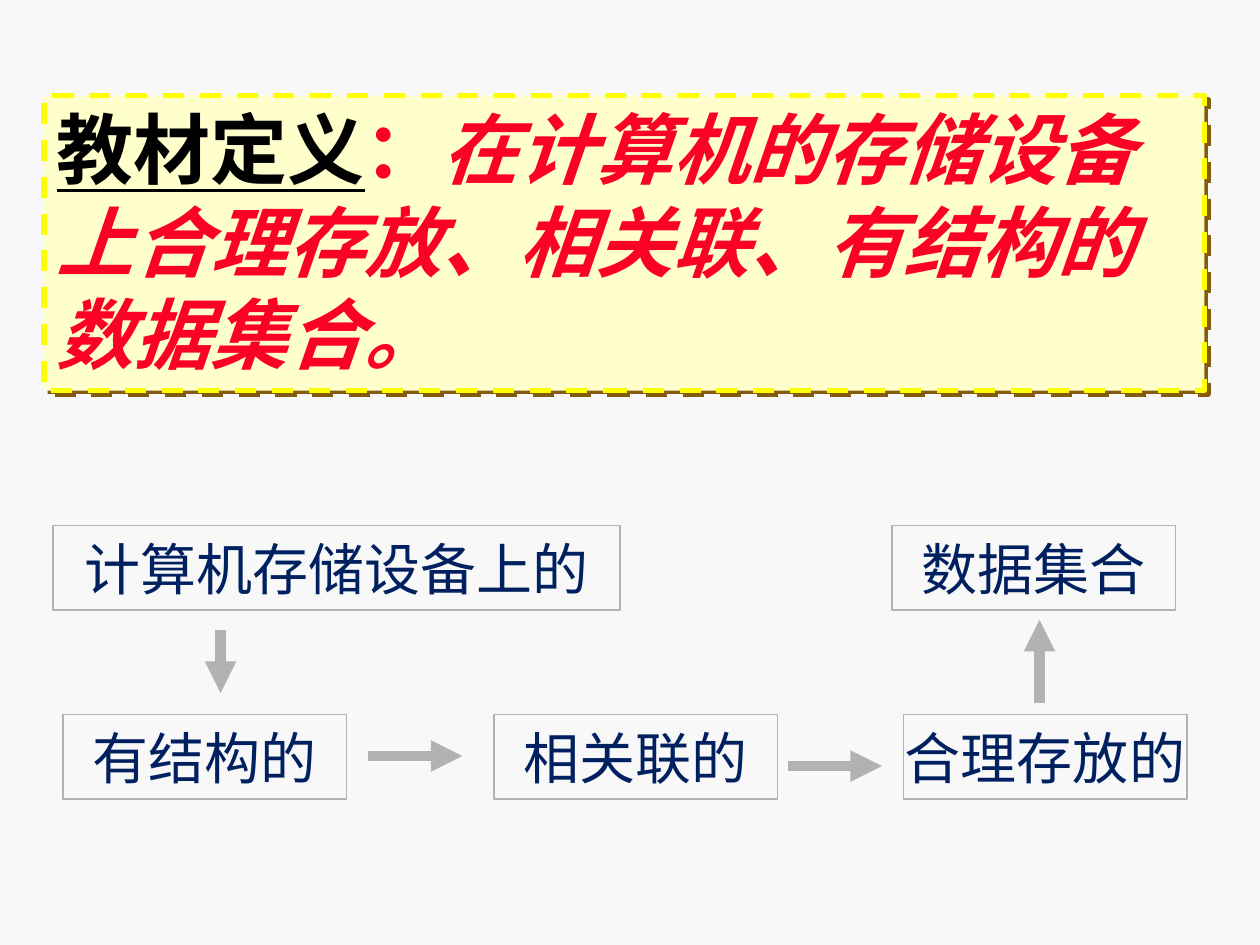
from lxml import etree
from pptx import Presentation
from pptx.dml.color import RGBColor
from pptx.enum.dml import MSO_LINE
from pptx.enum.shapes import MSO_CONNECTOR, MSO_SHAPE
from pptx.enum.text import MSO_ANCHOR, PP_ALIGN
from pptx.oxml.ns import qn
from pptx.util import Inches, Pt

RECTANGLE = MSO_SHAPE.RECTANGLE
STRAIGHT = MSO_CONNECTOR.STRAIGHT
DASH = MSO_LINE.DASH
MIDDLE = MSO_ANCHOR.MIDDLE
LEFT, CENTER = PP_ALIGN.LEFT, PP_ALIGN.CENTER

BACKGROUND = RGBColor(0xF8, 0xF8, 0xF8)
GRAY = RGBColor(0xB2, 0xB2, 0xB2)
NAVY = RGBColor(0x00, 0x20, 0x60)
BLACK = RGBColor(0x00, 0x00, 0x00)
RED = RGBColor(0xFC, 0x01, 0x28)
CREAM = RGBColor(0xFF, 0xFF, 0xCC)
YELLOW = RGBColor(0xFF, 0xFF, 0x00)
BROWN = RGBColor(0x87, 0x5B, 0x0D)

DEFINITION = [
    ("教材定义", dict(color=BLACK, underline=True)),
    ("：", dict(color=RED)),
    ("在计算机的存储设备上合理存放、相关联、有结构的数据集合。", dict(color=RED, italic=True)),
]
TOP_ROW, BOTTOM_ROW, STEP_HEIGHT = 4.17, 5.67, 0.67
STEPS = [
    ("计算机存储设备上的", 0.42, TOP_ROW, 4.5),
    ("有结构的", 0.5, BOTTOM_ROW, 2.25),
    ("相关联的", 3.92, BOTTOM_ROW, 2.25),
    ("合理存放的", 7.17, BOTTOM_ROW, 2.25),
    ("数据集合", 7.08, TOP_ROW, 2.25),
]
ARROWS = [
    (1.75, 5, 1.75, 5.5),
    (2.92, 6, 3.67, 6),
    (6.25, 6.08, 7, 6.08),
    (8.25, 5.58, 8.25, 4.92),
]


def add_text(para, text, size, color, font, bold=False, italic=False, underline=False):
    span = para.add_run()
    span.text = text
    span.font.size = Pt(size)
    span.font.name = font
    span.font.bold = bold
    span.font.italic = italic
    span.font.underline = underline
    span.font.color.rgb = color
    return span


def add_box(page, left, top, width, height, line_color, line_width):
    box = page.shapes.add_shape(
        RECTANGLE, Inches(left), Inches(top), Inches(width), Inches(height))
    box.shadow.inherit = False
    box.fill.background()
    box.line.color.rgb = line_color
    box.line.width = Pt(line_width)
    return box


def add_definition(page):
    box = add_box(page, 0.35, 0.76, 9.21, 2.34, YELLOW, 3)
    box.fill.solid()
    box.fill.fore_color.rgb = CREAM
    box.line.dash_style = DASH
    effects = box._element.spPr.find(qn("a:effectLst"))
    shadow = etree.SubElement(effects, qn("a:outerShdw"), dist=str(Pt(2.8)),
                              dir=str(45 * 60000), algn="ctr", rotWithShape="0")
    etree.SubElement(shadow, qn("a:srgbClr"), val=str(BROWN))
    frame = box.text_frame
    frame.word_wrap = True
    frame.vertical_anchor = MSO_ANCHOR.TOP
    para = frame.paragraphs[0]
    para.alignment = LEFT
    for text, style in DEFINITION:
        span = add_text(para, text, 44, font="Noto Sans CJK JP", bold=True, **style)
        east_asian = etree.Element(qn("a:ea"), typeface="Noto Sans CJK JP")
        span.font._element.find(qn("a:latin")).addnext(east_asian)


def add_step(page, text, left, top, width):
    box = add_box(page, left, top, width, STEP_HEIGHT, GRAY, 1)
    frame = box.text_frame
    frame.word_wrap = False
    frame.vertical_anchor = MIDDLE
    para = frame.paragraphs[0]
    para.alignment = CENTER
    add_text(para, text, 32, NAVY, "Times New Roman")


def add_arrow(page, *ends):
    arrow = page.shapes.add_connector(STRAIGHT, *map(Inches, ends))
    arrow.line.color.rgb = GRAY
    arrow.line.width = Pt(6)
    etree.SubElement(arrow.line._get_or_add_ln(), qn("a:tailEnd"), type="triangle")
    etree.SubElement(arrow._element.spPr, qn("a:effectLst"))


def main():
    deck = Presentation()
    deck.slide_width, deck.slide_height = Inches(10), Inches(7.5)
    page = deck.slides.add_slide(deck.slide_layouts[6])
    page.background.fill.solid()
    page.background.fill.fore_color.rgb = BACKGROUND
    for step in STEPS:
        add_step(page, *step)
    for arrow in ARROWS:
        add_arrow(page, *arrow)
    add_definition(page)
    deck.save("out.pptx")


if __name__ == "__main__":
    main()
